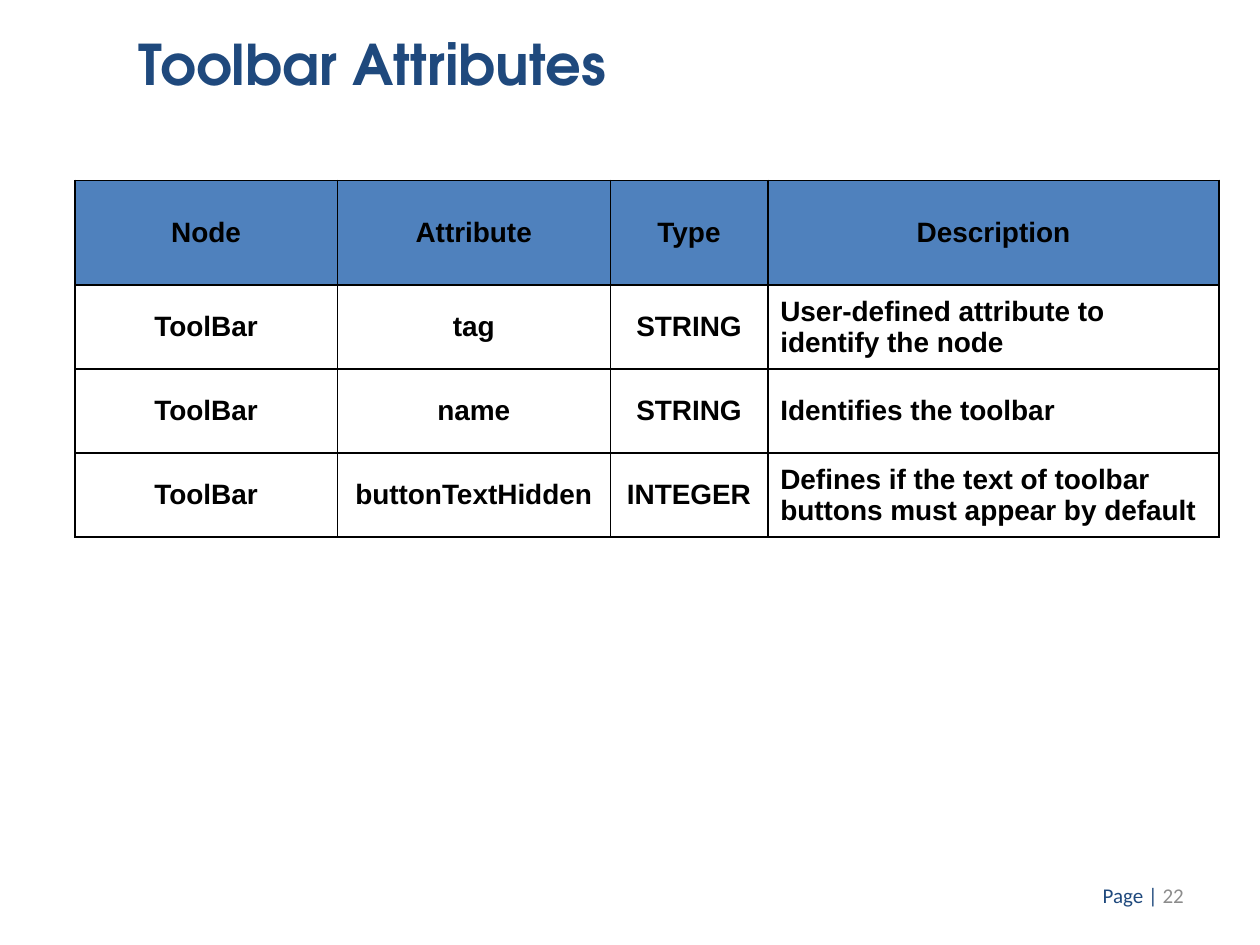
from lxml.etree import SubElement
from pptx import Presentation
from pptx.dml.color import RGBColor
from pptx.enum.text import MSO_ANCHOR, MSO_AUTO_SIZE, PP_ALIGN
from pptx.oxml.ns import qn
from pptx.util import Pt

COLORS = {
    "navy": "1F497D",
    "gray": "8C8C8C",
    "blue": "4F81BD",
    "white": "FFFFFF",
    "black": "000000",
}
WIDTHS = [150, 156, 90, 258]
HEIGHTS = [60, 48, 48, 48]
ROWS = [
    ["Node", "Attribute", "Type", "Description"],
    ["ToolBar", "tag", "STRING", "User-defined attribute to identify the node"],
    ["ToolBar", "name", "STRING", "Identifies the toolbar"],
    ["ToolBar", "buttonTextHidden", "INTEGER",
     "Defines if the text of toolbar buttons must appear by default"],
]


def add_run(para, text, font, size, color, bold=False):
    run = para.add_run()
    run.text = text
    run.font.name = font
    run.font.size = Pt(size)
    run.font.bold = bold
    run.font.color.rgb = RGBColor.from_string(COLORS[color])


def add_title(slide, text):
    title = slide.shapes.title
    title.left, title.top, title.width, title.height = Pt(72), Pt(13), Pt(498), Pt(65)
    frame = title.text_frame
    frame.auto_size = MSO_AUTO_SIZE.NONE
    frame.vertical_anchor = MSO_ANCHOR.TOP
    para = frame.paragraphs[0]
    para.alignment = PP_ALIGN.LEFT
    add_run(para, text, "TeX Gyre Adventor", 32, "navy", True)


def add_border(cell):
    props = cell._tc.get_or_add_tcPr()
    for place, side in enumerate(("lnL", "lnR", "lnT", "lnB")):
        line = SubElement(props, qn(f"a:{side}"), w=str(Pt(1)))
        fill = SubElement(line, qn("a:solidFill"))
        SubElement(fill, qn("a:srgbClr"), val=COLORS["black"])
        props.insert(place, line)


def fill_cell(cell, text, color, align):
    cell.fill.solid()
    cell.fill.fore_color.rgb = RGBColor.from_string(COLORS[color])
    cell.vertical_anchor = MSO_ANCHOR.MIDDLE
    para = cell.text_frame.paragraphs[0]
    para.alignment = align
    add_run(para, text, "Arial", 16, "black", True)
    add_border(cell)


def add_grid(slide):
    frame = slide.shapes.add_table(
        len(ROWS), len(WIDTHS), Pt(42.75), Pt(103), Pt(sum(WIDTHS)), Pt(sum(HEIGHTS)))
    table = frame.table
    for col, width in zip(table.columns, WIDTHS):
        col.width = Pt(width)
    for row, height in zip(table.rows, HEIGHTS):
        row.height = Pt(height)
    for r, texts in enumerate(ROWS):
        for c, text in enumerate(texts):
            left = r > 0 and c == len(WIDTHS) - 1
            fill_cell(table.cell(r, c), text, "white" if r else "blue",
                      PP_ALIGN.LEFT if left else PP_ALIGN.CENTER)


def add_footer(slide, label, number):
    box = slide.shapes.add_textbox(Pt(515.5), Pt(497), Pt(168), Pt(28.8))
    frame = box.text_frame
    frame.word_wrap = True
    frame.vertical_anchor = MSO_ANCHOR.MIDDLE
    para = frame.paragraphs[0]
    para.alignment = PP_ALIGN.RIGHT
    add_run(para, label, "Calibri", 12, "navy")
    add_run(para, number, "Calibri", 12, "gray")


def main():
    deck = Presentation()
    deck.slide_width, deck.slide_height = Pt(720), Pt(540)
    slide = deck.slides.add_slide(deck.slide_layouts[5])
    add_footer(slide, "Page | ", "22")
    add_grid(slide)
    add_title(slide, "Toolbar Attributes")
    deck.save("out.pptx")


if __name__ == "__main__":
    main()
